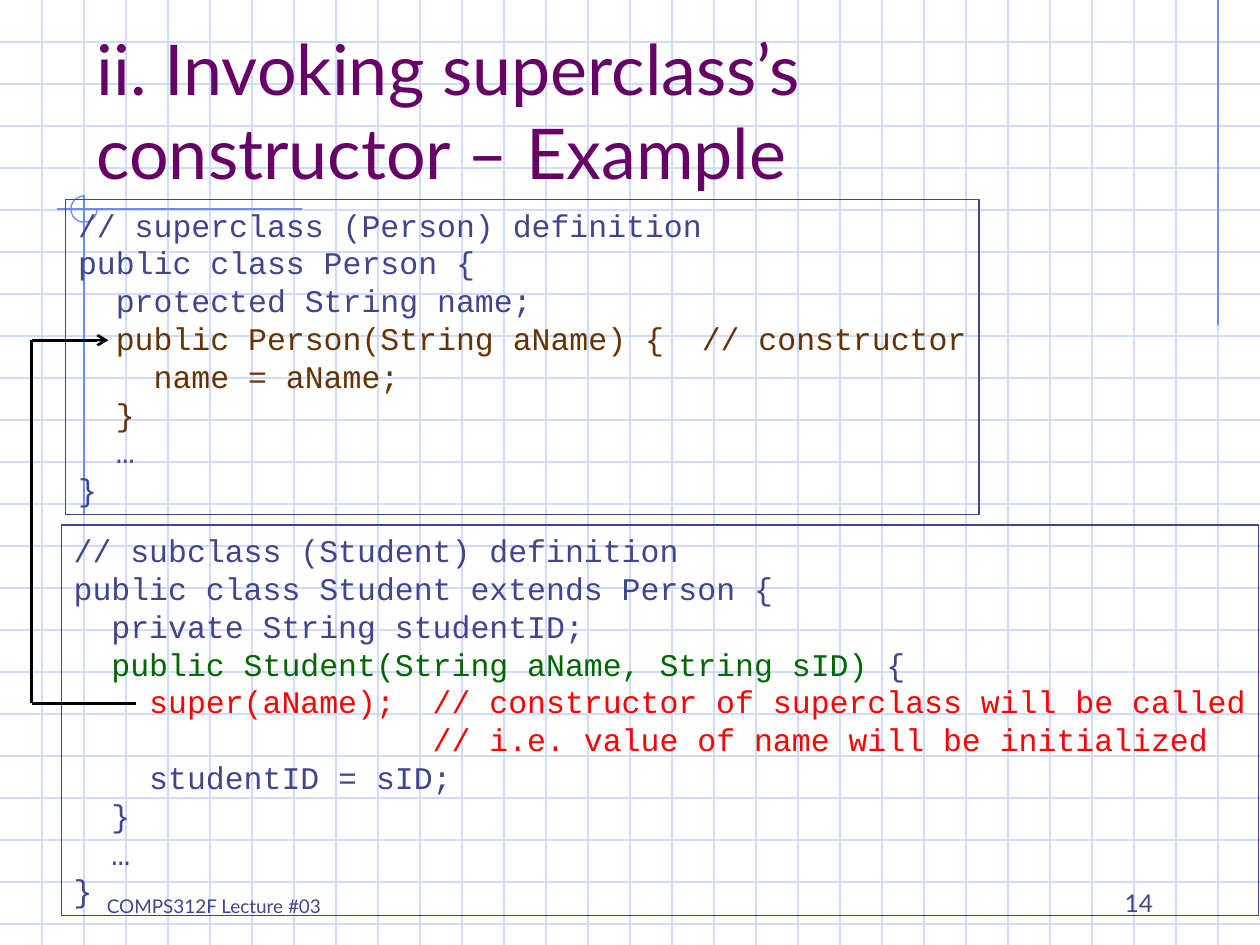
from lxml.etree import SubElement
from pptx import Presentation
from pptx.dml.color import RGBColor
from pptx.enum.shapes import MSO_CONNECTOR, MSO_SHAPE
from pptx.enum.text import MSO_ANCHOR, MSO_AUTO_SIZE, PP_ALIGN
from pptx.oxml.ns import qn
from pptx.util import Pt

NAVY, PLUM, BROWN, GREEN, RED = "40458C", "660066", "663300", "006600", "FF0000"
GRID_BLUE, ACCENT_BLUE, BLACK = "CFDBFD", "6F89F7", "000000"

PERSON_CODE = [
    [("// superclass (Person) definition", NAVY)],
    [("public class Person {", NAVY)],
    [("  protected String name;", NAVY)],
    [("  ", NAVY), ("public Person(String aName) {  // constructor", BROWN)],
    [("    name = aName;", BROWN)],
    [("  }", BROWN)],
    [("  …", NAVY)],
    [("}", NAVY)],
]
STUDENT_CODE = [
    [("// subclass (Student) definition", NAVY)],
    [("public class Student extends Person {", NAVY)],
    [("  private String studentID;", NAVY)],
    [("  ", NAVY), ("public Student(String aName, String sID)", GREEN), (" {", NAVY)],
    [("    ", NAVY), ("super(aName);  // constructor of superclass will be called", RED)],
    [("                   // i.e. value of name will be initialized", RED)],
    [("    studentID = sID;", NAVY)],
    [("  }", NAVY)],
    [("  …", NAVY)],
    [("}", NAVY)],
]


def color(hex_string):
    """Turn a hex string into a colour."""
    return RGBColor.from_string(hex_string)


def style_font(font, name, size, hex_string):
    """Set the face, size and colour of a font."""
    font.name = name
    font.size = Pt(size)
    font.color.rgb = color(hex_string)


def add_line(slide, start, end, hex_string, width=0.75, arrow=False):
    """Draw a straight line between two points, with an optional arrowhead."""
    line = slide.shapes.add_connector(
        MSO_CONNECTOR.STRAIGHT, *(Pt(v) for v in (*start, *end)))
    line.line.color.rgb = color(hex_string)
    line.line.width = Pt(width)
    properties = line._element.spPr
    if arrow:
        SubElement(properties.find(qn("a:ln")), qn("a:tailEnd"), type="arrow")
    SubElement(properties, qn("a:effectLst"))


def add_outline(slide, preset, box, hex_string):
    """Add an unfilled preset shape with a thin outline."""
    outline = slide.shapes.add_shape(preset, *(Pt(v) for v in box))
    outline.shadow.inherit = False
    outline.fill.background()
    outline.line.color.rgb = color(hex_string)
    outline.line.width = Pt(0.75)
    return outline


def add_grid(slide, box, pitch):
    """Rule a box with evenly spaced lines both ways."""
    left, top, width, height = box
    right, bottom = left + width, top + height
    for y in range(top + pitch, bottom, pitch):
        add_line(slide, (left, y), (right, y), GRID_BLUE)
    for x in range(left + pitch, right, pitch):
        add_line(slide, (x, top), (x, bottom), GRID_BLUE)


def add_corner_marks(slide, box):
    """Draw the right rule, the crossing rules and their arc within a box."""
    left, top, width, height = box
    cross_x, cross_y, radius = left + 48, top + 119.5, 7.5
    right_rule = left + width - 24
    add_line(slide, (right_rule, top), (right_rule, top + 186), ACCENT_BLUE)
    add_line(slide, (cross_x + 124.8, cross_y), (cross_x - 15.6, cross_y), ACCENT_BLUE)
    add_line(slide, (cross_x, cross_y - 8), (cross_x, cross_y + 175), ACCENT_BLUE)
    arc = add_outline(slide, MSO_SHAPE.ARC,
                      (cross_x - radius, cross_y - radius, 2 * radius, 2 * radius),
                      ACCENT_BLUE)
    arc.adjustments[0] = 0
    arc.adjustments[1] = 162


def place_title(slide, box, text):
    """Move the title placeholder to a box, in front of the background."""
    title = slide.shapes.title
    title.left, title.top, title.width, title.height = (Pt(v) for v in box)
    frame = title.text_frame
    frame.text = text
    frame.word_wrap = True
    frame.auto_size = MSO_AUTO_SIZE.NONE
    frame.vertical_anchor = MSO_ANCHOR.BOTTOM
    frame.paragraphs[0].alignment = PP_ALIGN.LEFT
    style_font(frame.paragraphs[0].runs[0].font, "Lato", 40, PLUM)
    slide.shapes._spTree.append(title._element)


def add_footer(slide, box, text, size, alignment):
    """Add one bottom-aligned footer text."""
    frame = slide.shapes.add_textbox(*(Pt(v) for v in box)).text_frame
    frame.text = text
    frame.word_wrap = True
    frame.vertical_anchor = MSO_ANCHOR.BOTTOM
    frame.paragraphs[0].alignment = alignment
    style_font(frame.paragraphs[0].runs[0].font, "Lato", size, NAVY)


def add_code(slide, box, code):
    """Add an outlined box with one paragraph for each line of code."""
    frame = add_outline(slide, MSO_SHAPE.RECTANGLE, box, NAVY).text_frame
    frame.word_wrap = False
    frame.vertical_anchor = MSO_ANCHOR.TOP
    for index, pieces in enumerate(code):
        paragraph = frame.add_paragraph() if index else frame.paragraphs[0]
        paragraph.alignment = PP_ALIGN.LEFT
        paragraph.line_spacing = Pt(21.6)
        for text, hex_string in pieces:
            run = paragraph.add_run()
            run.text = text
            style_font(run.font, "Courier New", 18, hex_string)


def add_call_arrow(slide, box, call_length):
    """Lead from the super call around the left to the constructor."""
    left, top, width, height = box
    bottom = top + height
    add_line(slide, (left, top), (left + width, top), BLACK, 1.5, arrow=True)
    add_line(slide, (left, bottom), (left + call_length, bottom), BLACK, 1.5)
    add_line(slide, (left, bottom), (left, top), BLACK, 1.5)


def main():
    """Build and save the slide."""
    deck = Presentation()
    deck.slide_width, deck.slide_height = Pt(720), Pt(540)
    slide = deck.slides.add_slide(deck.slide_layouts[5])
    page = (0, 0, 720, 540)
    add_grid(slide, page, 24)
    add_corner_marks(slide, page)
    add_footer(slide, (54, 492, 150, 36), "COMPS312F Lecture #03", 10.8, PP_ALIGN.LEFT)
    add_footer(slide, (516, 492, 150, 36), "14", 14, PP_ALIGN.RIGHT)
    place_title(slide, (48, 24, 612, 90), "ii. Invoking superclass’s constructor – Example")
    add_code(slide, (37.5, 114, 522, 180), PERSON_CODE)
    add_code(slide, (35, 300, 684, 223.2), STUDENT_CODE)
    add_call_arrow(slide, (18, 194.4, 44, 207.6), 60)
    deck.save("out.pptx")


if __name__ == "__main__":
    main()
